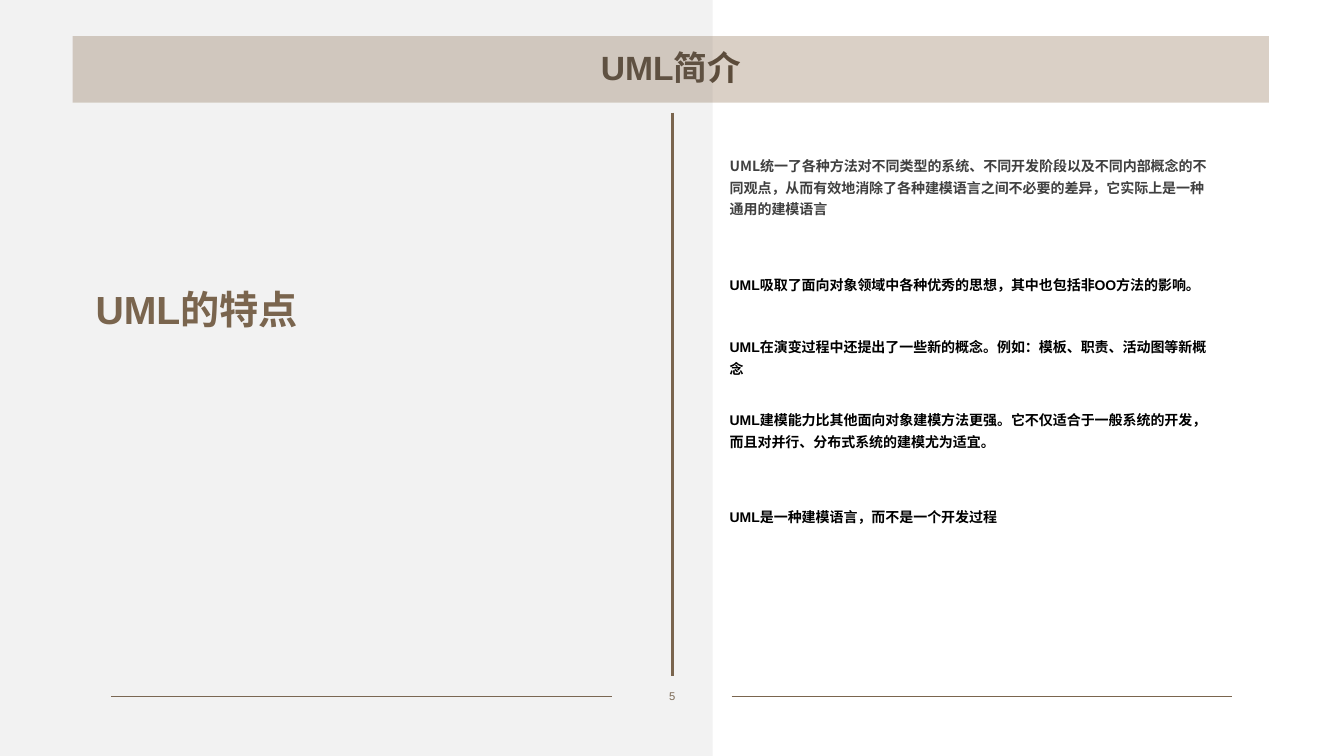
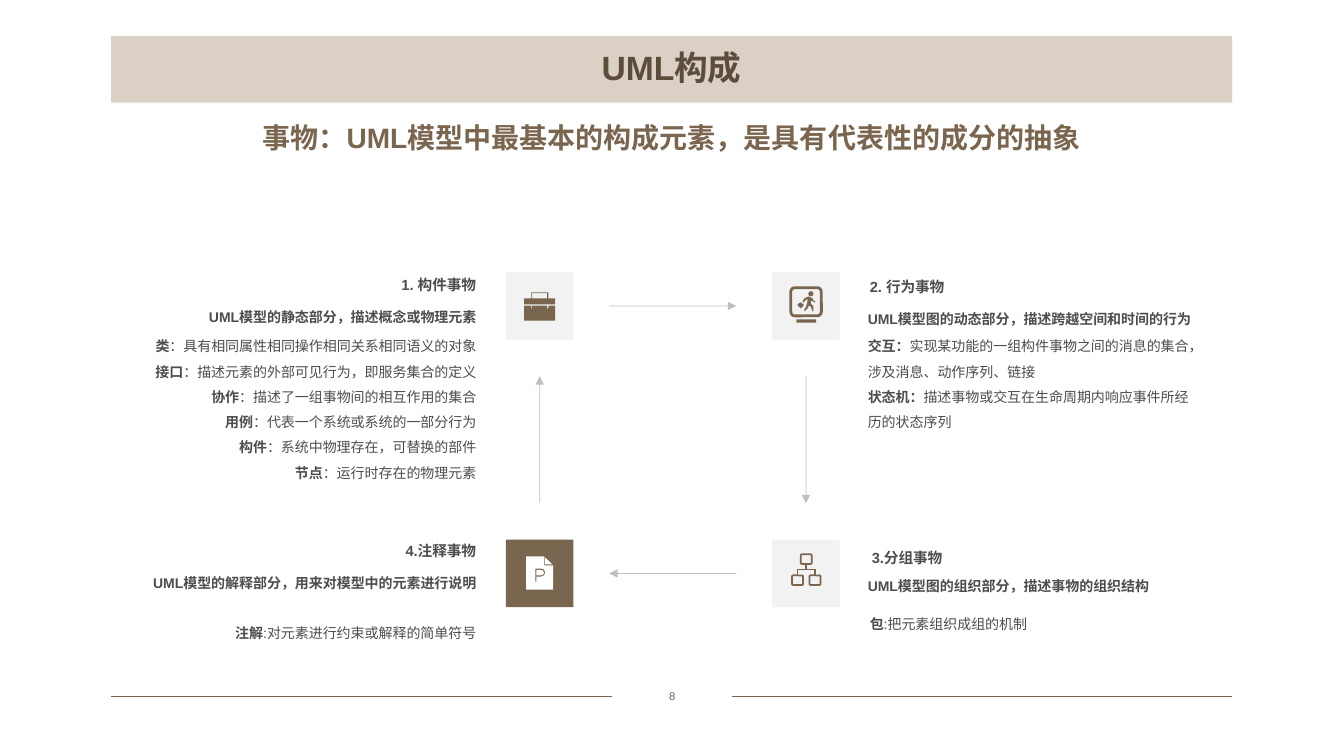
from lxml.etree import SubElement
from pptx import Presentation
from pptx.dml.color import RGBColor
from pptx.enum.shapes import MSO_CONNECTOR, MSO_SHAPE
from pptx.enum.text import MSO_ANCHOR, PP_ALIGN
from pptx.oxml.ns import qn
from pptx.util import Cm, Pt

BROWN = RGBColor(0x7A, 0x65, 0x4E)
DARK_BROWN = RGBColor(0x5C, 0x4C, 0x3B)
SAND = RGBColor(0xB6, 0xA3, 0x8E)
GRAY = RGBColor(0x80, 0x80, 0x80)
TEXT_GRAY = RGBColor(0x4D, 0x4D, 0x4D)
DARK_GRAY = RGBColor(0x40, 0x40, 0x40)
BLACK = RGBColor(0, 0, 0)
WHITE = RGBColor(0xFF, 0xFF, 0xFF)

LATIN, CJK = "Arial", "Noto Sans CJK SC"
LEFT, CENTER, RIGHT = PP_ALIGN.LEFT, PP_ALIGN.CENTER, PP_ALIGN.RIGHT


class Deck:
    """Shared style and the current slide; lengths are in centimetres."""

    def __init__(self):
        self.prs = Presentation()
        self.prs.slide_width, self.prs.slide_height = Cm(33.87), Cm(19.05)
        self.s = None

    def slide(self, number, title, band_x, band_w):
        self.s = self.prs.slides.add_slide(self.prs.slide_layouts[6])
        # Footer
        for x in (2.8, 18.44):
            self.line(x, 17.55, x + 12.62, 17.55)
        self.text(16.01, 17.25, 1.86, 0.6, [[(number, False)]], size=8,
                  color=BROWN, align=CENTER, anchor=MSO_ANCHOR.MIDDLE)
        # Title band
        band = self.shape(band_x, 0.91, band_w, 1.68, SAND, alpha=50)
        self.add_runs(band.text_frame, [[(title, True)]], 24, DARK_BROWN,
                      CENTER, 0.9, MSO_ANCHOR.MIDDLE)

    def set_alpha(self, shape, percent):
        for clr in shape.element.spPr.iter(qn("a:srgbClr")):
            SubElement(clr, qn("a:alpha"), val=str(percent * 1000))

    def shape(self, x, y, w, h, fill=None, line=None, width=1,
              kind=MSO_SHAPE.RECTANGLE, alpha=100):
        sp = self.s.shapes.add_shape(kind, Cm(x), Cm(y), Cm(w), Cm(h))
        return self.paint(sp, fill, line, width, alpha)

    def paint(self, sp, fill, line=None, width=1, alpha=100):
        sp.shadow.inherit = False
        if fill is None:
            sp.fill.background()
        else:
            sp.fill.solid()
            sp.fill.fore_color.rgb = fill
        if line is None:
            sp.line.fill.background()
        else:
            sp.line.color.rgb = line
            sp.line.width = Pt(width)
        if alpha < 100:
            self.set_alpha(sp, alpha)
        return sp

    def outline(self, x, y, contours, fill):
        """Filled contours in hundredths of a centimetre from (x, y)."""
        first, *others = contours
        fb = self.s.shapes.build_freeform(*first[0], scale=Cm(0.01))
        fb.add_line_segments(first[1:], close=True)
        for points in others:
            fb.move_to(*points[0])
            fb.add_line_segments(points[1:], close=True)
        return self.paint(fb.convert_to_shape(Cm(x), Cm(y)), fill)

    def line(self, x1, y1, x2, y2, color=BROWN, width=0.5):
        ln = self.s.shapes.add_connector(MSO_CONNECTOR.STRAIGHT,
                                         Cm(x1), Cm(y1), Cm(x2), Cm(y2))
        ln.line.color.rgb = color
        ln.line.width = Pt(width)
        SubElement(ln.element.spPr, qn("a:effectLst"))
        return ln

    def arrow(self, x1, y1, x2, y2):
        ln = self.line(x1, y1, x2, y2, GRAY)
        self.set_alpha(ln, 50)
        SubElement(ln.element.spPr.find(qn("a:ln")), qn("a:tailEnd"), type="triangle")

    def text(self, x, y, w, h, paragraphs, size=10, color=TEXT_GRAY, align=LEFT,
             spacing=1.0, anchor=MSO_ANCHOR.TOP, font=LATIN):
        tb = self.s.shapes.add_textbox(Cm(x), Cm(y), Cm(w), Cm(h))
        self.add_runs(tb.text_frame, paragraphs, size, color, align, spacing, anchor, font)

    def add_runs(self, tf, paragraphs, size, color, align, spacing, anchor, font=LATIN):
        """Each paragraph is a list of (text, bold) runs."""
        tf.word_wrap = True
        tf.vertical_anchor = anchor
        for i, runs in enumerate(paragraphs):
            p = tf.add_paragraph() if i else tf.paragraphs[0]
            p.alignment, p.line_spacing = align, spacing
            for content, bold in runs:
                r = p.add_run()
                r.text = content
                r.font.name, r.font.size, r.font.bold = font, Pt(size), bold
                r.font.color.rgb = color
                SubElement(r.font._element, qn("a:ea"), typeface=CJK)


# Icons, each placed from the corner of its tile
def briefcase_icon(d, x, y):
    d.outline(x, y, [
        [(46, 84), (64, 84), (64, 91), (66, 91), (66, 84), (104, 84), (104, 91),
         (107, 91), (107, 84), (124, 84), (124, 122), (46, 122)],
        [(107, 51), (107, 66), (124, 66), (124, 81), (46, 81), (46, 66),
         (64, 66), (64, 51)],
        [(104, 53), (66, 53), (66, 66), (104, 66)]], BROWN)


def runner_icon(d, x, y):
    screen = d.shape(x + 0.47, y + 0.39, 0.77, 0.71, line=BROWN, width=2,
                     kind=MSO_SHAPE.ROUNDED_RECTANGLE)
    screen.adjustments[0] = 0.14
    d.shape(x + 0.61, y + 1.19, 0.5, 0.08, BROWN, kind=MSO_SHAPE.ROUNDED_RECTANGLE)
    d.shape(x + 0.91, y + 0.48, 0.13, 0.13, BROWN, kind=MSO_SHAPE.OVAL)
    d.outline(x, y, [
        [(104, 71), (102, 66), (91, 61), (81, 66), (76, 76), (79, 76), (84, 71),
         (89, 66), (89, 74), (86, 86), (81, 94), (81, 99), (91, 89), (91, 84),
         (97, 86), (102, 99), (104, 99), (104, 86), (97, 79), (99, 71),
         (107, 76), (109, 74)],
        [(79, 81), (71, 76), (64, 81), (64, 84), (72, 91), (79, 84)]], BROWN)


def hierarchy_icon(d, x, y):
    def node(left, top):
        box = d.shape(x + left, y + top, 0.28, 0.24, line=BROWN, width=1.25,
                      kind=MSO_SHAPE.ROUNDED_RECTANGLE)
        box.adjustments[0] = 0.12
        return box

    bar_y = y + 0.75
    d.line(x + 0.64, bar_y, x + 1.08, bar_y, width=1.25)
    for left, top, side in ((0.72, 0.37, 2), (0.5, 0.9, 0), (0.94, 0.9, 0)):
        mid = x + left + 0.14
        d.line(mid, bar_y, mid, bar_y, width=1.25).begin_connect(node(left, top), side)


def document_icon(d, x, y):
    d.outline(x, y, [
        [(97, 42), (97, 65), (119, 65), (119, 126), (51, 126), (51, 42)],
        [(74, 73), (89, 73), (96, 75), (99, 83), (96, 90), (89, 93), (77, 93),
         (77, 106), (74, 106)],
        [(77, 76), (88, 76), (94, 78), (96, 83), (94, 88), (88, 90), (77, 90)],
        [(117, 62), (99, 62), (99, 45)]], WHITE)


def features_slide(d):
    d.slide("5", "UML简介", 1.83, 30.15)
    d.shape(0, 0, 17.96, 19.05, GRAY, alpha=10)
    d.line(16.94, 2.84, 16.94, 17.04, width=2)
    d.text(2.16, 7.04, 13.77, 1.45, [[("UML的特点", True)]], size=28, color=BROWN,
           anchor=MSO_ANCHOR.BOTTOM)
    # Feature list
    features = [
        (3.71, 1.88, DARK_GRAY, CJK, "UML统一了各种方法对不同类型的系统、不同开发阶段以及不同内部概念的不同观点，"
         "从而有效地消除了各种建模语言之间不必要的差异，它实际上是一种通用的建模语言"),
        (6.71, 0.76, BLACK, LATIN, "UML吸取了面向对象领域中各种优秀的思想，其中也包括非OO方法的影响。"),
        (8.28, 1.32, BLACK, LATIN, "UML在演变过程中还提出了一些新的概念。例如：模板、职责、活动图等新概念"),
        (10.11, 1.32, BLACK, LATIN, "UML建模能力比其他面向对象建模方法更强。它不仅适合于一般系统的开发，"
         "而且对并行、分布式系统的建模尤为适宜。"),
        (12.55, 0.76, BLACK, LATIN, "UML是一种建模语言，而不是一个开发过程"),
    ]
    for y, h, color, font, content in features:
        d.text(18.14, y, 12.75, h, [[(content, True)]], color=color, spacing=1.3, font=font)


def things_slide(d):
    d.slide("8", "UML构成", 2.8, 28.25)
    d.text(5.94, 2.92, 21.97, 1.12,
           [[("事物：UML模型中最基本的构成元素，是具有代表性的成分的抽象", True)]],
           size=20, color=BROWN, align=CENTER)

    # Icon tiles
    tile, (x1, x2), (y1, y2) = 1.7, (12.75, 19.46), (6.86, 13.6)
    for x, y, icon in ((x1, y1, briefcase_icon), (x2, y1, runner_icon),
                       (x2, y2, hierarchy_icon)):
        d.shape(x, y, tile, tile, GRAY, alpha=10)
        icon(d, x, y)
    d.shape(x1, y2, tile, tile, BROWN)
    document_icon(d, x1, y2)

    # Clockwise arrows between the tiles
    cx1, cx2, cy1, cy2 = (v + tile / 2 for v in (x1, x2, y1, y2))
    mx, my, half = (cx1 + cx2) / 2, (cy1 + cy2) / 2, 1.6
    d.arrow(mx - half, cy1, mx + half, cy1)
    d.arrow(cx2, my - half, cx2, my + half)
    d.arrow(mx + half, cy2, mx - half, cy2)
    d.arrow(cx1, my + half, cx1, my - half)

    # Headings and summaries: x, y, width, align, size, text
    labels = [
        (4.5, 6.6, 7.75, RIGHT, 10.5, "1. 构件事物"),
        (3.38, 7.44, 8.87, RIGHT, 10, "UML模型的静态部分，描述概念或物理元素"),
        (21.67, 6.65, 7.75, LEFT, 10.5, "2. 行为事物"),
        (21.62, 7.49, 8.87, LEFT, 10, "UML模型图的动态部分，描述跨越空间和时间的行为"),
        (21.72, 13.49, 7.75, LEFT, 10.5, "3.分组事物"),
        (21.62, 14.22, 8.87, LEFT, 10, "UML模型图的组织部分，描述事物的组织结构"),
        (4.5, 13.31, 7.75, RIGHT, 10.5, "4.注释事物"),
        (3.38, 14.15, 8.87, RIGHT, 10, "UML模型的解释部分，用来对模型中的元素进行说明"),
    ]
    for x, y, w, align, size, content in labels:
        d.text(x, y, w, 0.84, [[(content, True)]], size=size, align=align, spacing=1.5)

    # Definitions: x, y, height, align, spacing, (term, meaning) pairs
    definitions = [
        (3.38, 8.18, 4.04, RIGHT, 1.5, [
            ("类", "：具有相同属性相同操作相同关系相同语义的对象"),
            ("接口", "：描述元素的外部可见行为，即服务集合的定义"),
            ("协作", "：描述了一组事物间的相互作用的集合"),
            ("用例", "：代表一个系统或系统的一部分行为"),
            ("构件", "：系统中物理存在，可替换的部件"),
            ("节点", "：运行时存在的物理元素")]),
        (21.62, 8.18, 2.74, LEFT, 1.5, [
            ("交互：", "实现某功能的一组构件事物之间的消息的集合，涉及消息、动作序列、链接"),
            ("状态机：", "描述事物或交互在生命周期内响应事件所经历的状态序列")]),
        (3.38, 15.39, 0.84, RIGHT, 1.5, [("注解", ":对元素进行约束或解释的简单符号")]),
        (21.67, 15.39, 0.84, LEFT, 1.0, [("包", ":把元素组织成组的机制")]),
    ]
    for x, y, h, align, spacing, entries in definitions:
        paragraphs = [[(term, True), (meaning, False)] for term, meaning in entries]
        d.text(x, y, 8.87, h, paragraphs, align=align, spacing=spacing)


def main():
    d = Deck()
    features_slide(d)
    things_slide(d)
    d.prs.save("out.pptx")


if __name__ == "__main__":
    main()
